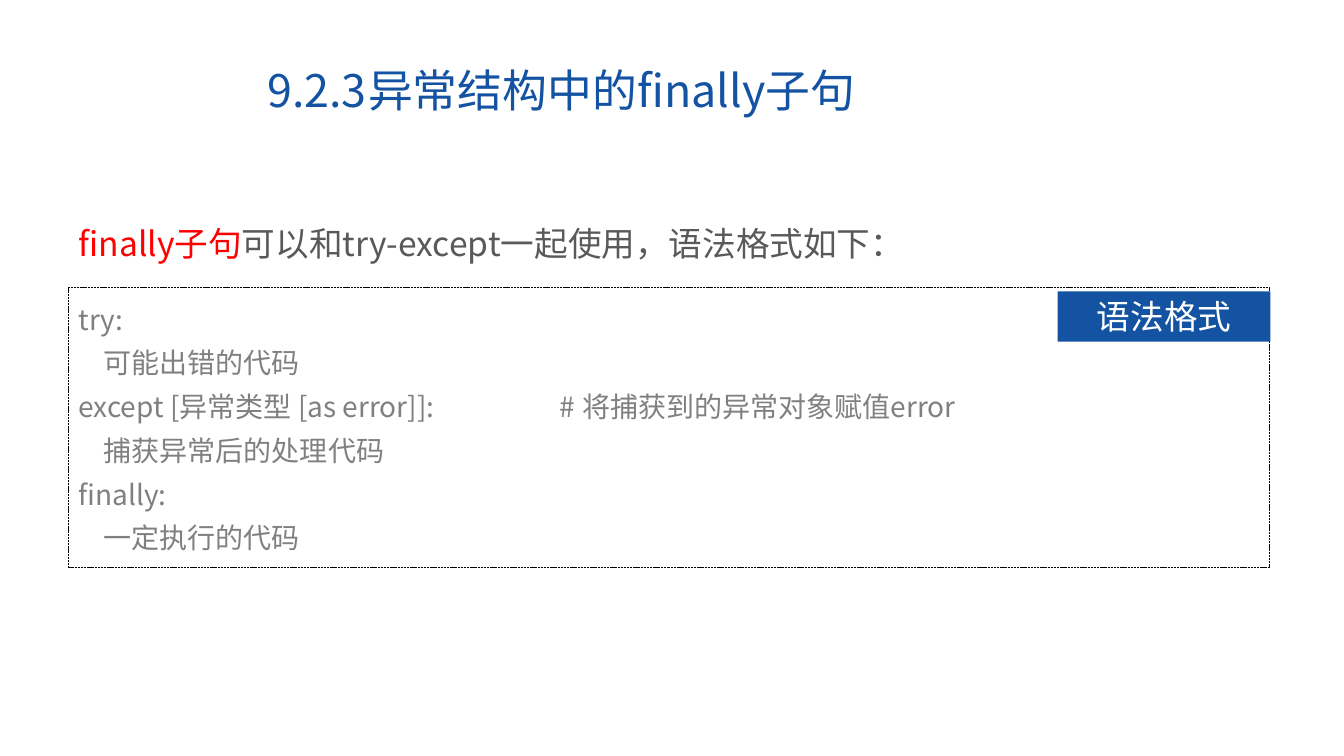
from dataclasses import dataclass

from lxml.etree import SubElement
from pptx import Presentation
from pptx.dml.color import RGBColor
from pptx.enum.dml import MSO_LINE
from pptx.enum.shapes import MSO_SHAPE
from pptx.enum.text import MSO_ANCHOR as Anchor, MSO_AUTO_SIZE as AutoSize, PP_ALIGN as Align
from pptx.oxml.ns import qn
from pptx.shapes.autoshape import Shape
from pptx.slide import Slide
from pptx.util import Inches, Pt

FONT = "Noto Sans CJK SC"
BLUE = RGBColor(0x13, 0x53, 0xA2)
RED = RGBColor(0xFF, 0x00, 0x00)
GRAY = RGBColor(0x80, 0x80, 0x80)
DARK_GRAY = RGBColor(0x59, 0x59, 0x59)
WHITE = RGBColor(0xFF, 0xFF, 0xFF)
BLACK = RGBColor(0x00, 0x00, 0x00)

SYNTAX = """try:
    可能出错的代码
except [异常类型 [as error]]:                    # 将捕获到的异常对象赋值error
    捕获异常后的处理代码
finally:
    一定执行的代码"""


@dataclass(frozen=True)
class Area:
    left: float
    top: float
    width: float
    height: float

    def lengths(self) -> tuple[int, int, int, int]:
        return Inches(self.left), Inches(self.top), Inches(self.width), Inches(self.height)


@dataclass(frozen=True)
class Span:
    text: str
    color: RGBColor


@dataclass(frozen=True)
class TextStyle:
    size: int
    line_spacing: float = 1.0
    align: Align = Align.LEFT
    anchor: Anchor = Anchor.TOP


TITLE_AREA = Area(2.55, 0.63, 9.14, 0.59)
INTRO_AREA = Area(0.68, 1.96, 12.02, 0.64)
SYNTAX_AREA = Area(0.68, 2.85, 11.91, 2.73)
FRAME_AREA = Area(0.68, 2.85, 11.91, 2.78)
TAG_AREA = Area(10.49, 2.89, 2.11, 0.5)


def write(box: Shape, lines: list[list[Span]], style: TextStyle) -> None:
    frame = box.text_frame
    frame.word_wrap = True
    frame.auto_size = AutoSize.NONE
    frame.vertical_anchor = style.anchor
    frame.text = "\n".join("" for _ in lines)
    for para, spans in zip(frame.paragraphs, lines):
        para.alignment = style.align
        para.line_spacing = style.line_spacing
        for span in spans:
            run = para.add_run()
            run.text = span.text
            run.font.size = Pt(style.size)
            run.font.color.rgb = span.color
            run.font.name = FONT
            SubElement(run.font._element, qn("a:ea"), typeface=FONT)


def add_text(page: Slide, area: Area, lines: list[list[Span]], style: TextStyle) -> None:
    write(page.shapes.add_textbox(*area.lengths()), lines, style)


def add_rectangle(page: Slide, area: Area) -> Shape:
    box = page.shapes.add_shape(MSO_SHAPE.RECTANGLE, *area.lengths())
    box.shadow.inherit = False
    return box


def main() -> None:
    deck = Presentation()
    deck.slide_width, deck.slide_height = Inches(13.33), Inches(7.5)
    page = deck.slides.add_slide(deck.slide_layouts.get_by_name("Title Only"))

    title = page.shapes.title
    title.left, title.top, title.width, title.height = TITLE_AREA.lengths()
    write(title, [[Span("9.2.3\t异常结构中的finally子句", BLUE)]],
          TextStyle(32, 0.9, anchor=Anchor.MIDDLE))

    code = [[Span(line, GRAY)] for line in SYNTAX.splitlines()]
    add_text(page, SYNTAX_AREA, code, TextStyle(20, 1.3))

    border = add_rectangle(page, FRAME_AREA)
    border.fill.background()
    border.line.color.rgb = BLACK
    border.line.width = Pt(0.5)
    border.line.dash_style = MSO_LINE.SQUARE_DOT

    tag = add_rectangle(page, TAG_AREA)
    tag.fill.solid()
    tag.fill.fore_color.rgb = BLUE
    tag.line.fill.background()
    write(tag, [[Span("语法格式", WHITE)]],
          TextStyle(24, align=Align.CENTER, anchor=Anchor.MIDDLE))

    intro = [Span("finally子句", RED),
             Span("可以和try-except一起使用，语法格式如下：", DARK_GRAY)]
    add_text(page, INTRO_AREA, [intro], TextStyle(24, 1.5))

    deck.save("out.pptx")


if __name__ == "__main__":
    main()
